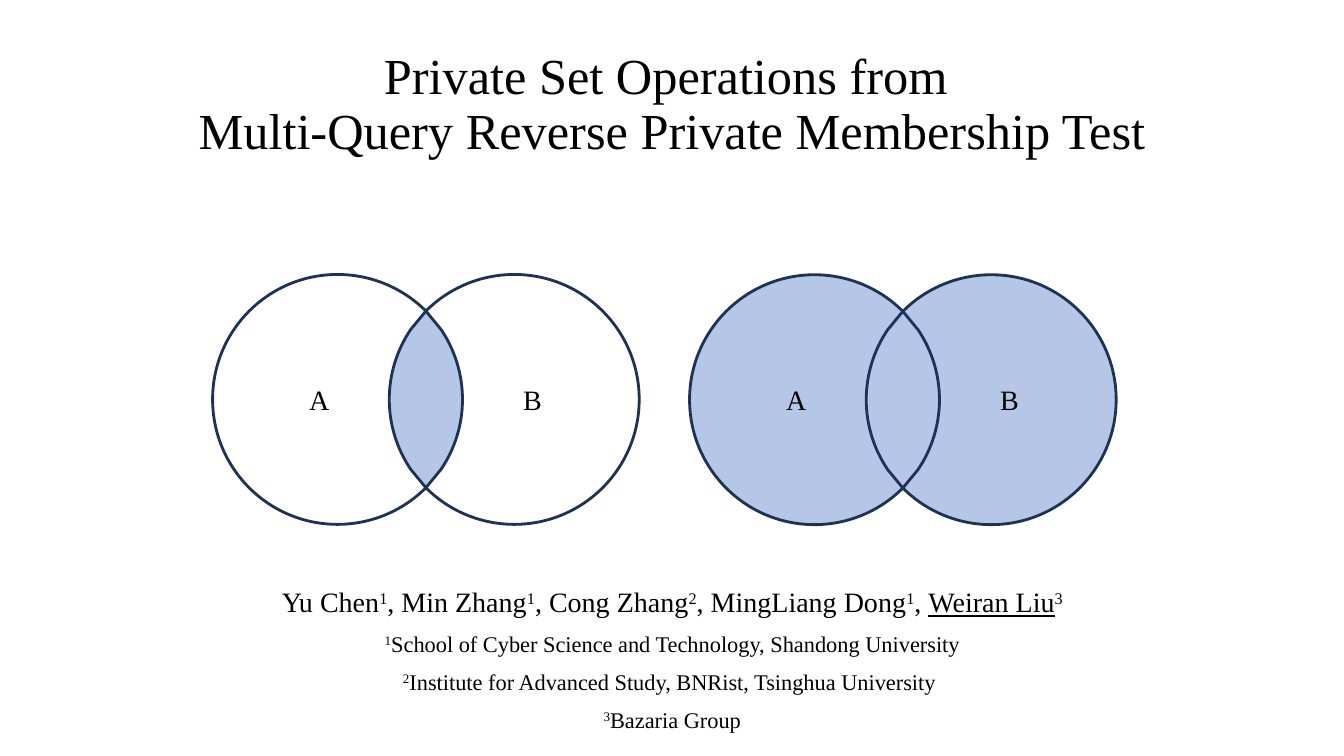
import copy
import math

import pptx
import pptx.dml.color
import pptx.enum.text
import pptx.oxml
import pptx.oxml.ns
import pptx.util

Pt = pptx.util.Pt
FACE = "Times New Roman"
BLACK, BLUE, NAVY = "000000", "B4C7E7", "1E3256"
RADIUS = 89.25
SHIFT = RADIUS * math.cos(math.radians(45))


def tint(color, code):
    """Set a colour format to a hex colour."""
    color.rgb = pptx.dml.color.RGBColor.from_string(code)


def add_run(para, text, size, base=0, under=False):
    """Add one styled run, raised by base percent."""
    run = para.add_run()
    run.text = text
    run.font.name = FACE
    run.font.size = Pt(size)
    tint(run.font.color, BLACK)
    if under:
        run.font.underline = True
    if base:
        run.font._element.set("baseline", str(base * 1000))
    return run


def set_para(para, before=0, lines=0.9):
    """Centre a paragraph and set its spacing."""
    para.alignment = pptx.enum.text.PP_ALIGN.CENTER
    para.line_spacing = lines
    para.space_before = Pt(before)


def set_holder(holder, box, anchor):
    """Move a placeholder and fix its text frame."""
    holder.left, holder.top, holder.width, holder.height = map(Pt, box)
    frame = holder.text_frame
    frame.word_wrap = True
    frame.auto_size = pptx.enum.text.MSO_AUTO_SIZE.NONE
    frame.vertical_anchor = anchor
    return frame


def add_title(slide):
    """Fill the title with two lines."""
    middle = pptx.enum.text.MSO_ANCHOR.MIDDLE
    frame = set_holder(slide.shapes.title, (69.8, 0, 820.8, 151.2), middle)
    para = frame.paragraphs[0]
    set_para(para)
    run = add_run(para, "Private Set Operations from ", 36)
    para.add_line_break()
    gap = para._p.find(pptx.oxml.ns.qn("a:br"))
    gap.append(copy.deepcopy(run.font._element))
    add_run(para, "Multi-Query Reverse Private Membership Test", 36)


def add_team(slide):
    """Fill the subtitle with authors and places."""
    top = pptx.enum.text.MSO_ANCHOR.TOP
    frame = set_holder(slide.placeholders[1], (20.9, 416.9, 918.7, 123.1), top)
    para = frame.paragraphs[0]
    set_para(para)
    team = [("Yu Chen", "1"), ("Min Zhang", "1"), ("Cong Zhang", "2"),
            ("MingLiang Dong", "1"), ("Weiran Liu", "3")]
    for index, (name, mark) in enumerate(team):
        lead = ", " if index else ""
        if name == "Weiran Liu":
            add_run(para, lead, 20)
            add_run(para, name, 20, under=True)
        else:
            add_run(para, lead + name, 20)
        add_run(para, mark, 20, base=30)
    places = ["School of Cyber Science and Technology, Shandong University",
              "Institute for Advanced Study, BNRist, Tsinghua University ",
              "Bazaria Group"]
    for number, place in enumerate(places, 1):
        para = frame.add_paragraph()
        set_para(para, before=10)
        add_run(para, str(number), 16, base=30)
        add_run(para, place, 16)


def spot(side, shift, angle, pull=0):
    """Return a circle point, pulled along its tangent."""
    turn = math.radians(angle)
    x = math.cos(turn) - pull * math.sin(turn)
    y = math.sin(turn) + pull * math.cos(turn)
    return side * (shift + RADIUS * x), RADIUS * y


def arc(side, shift, angles):
    """Return one cubic curve for each pair of angles."""
    curves = []
    for start, end in zip(angles, angles[1:]):
        pull = 4 / 3 * math.tan(math.radians(end - start) / 4)
        curves.append([spot(side, shift, start, pull),
                       spot(side, shift, end, -pull),
                       spot(side, shift, end)])
    return curves


def inner(side, turn=1):
    """Return one edge of the overlap, upwards if turn is 1."""
    bend = 34 * turn
    return [[spot(side, -SHIFT, bend)],
            *arc(side, -SHIFT, [bend, 0, -bend]),
            [(0, -turn * SHIFT)]]


def outer(side):
    """Return the outer rim of one set, top to bottom."""
    return arc(side, SHIFT, [-135, -90, 0, 90, 135])


def bend_lines(form, parts):
    """Turn each run of three lines into one cubic curve."""
    name = pptx.oxml.ns.qn
    lines = iter(list(form._element.iter(name("a:lnTo"))))
    for part in parts:
        group = [next(lines) for point in part]
        if len(group) == 3:
            curve = pptx.oxml.parse_xml(
                "<a:cubicBezTo %s/>" % pptx.oxml.ns.nsdecls("a"))
            group[0].addprevious(curve)
            for line in group:
                curve.append(line[0])
                line.getparent().remove(line)


def add_form(slide, mid, start, parts, fill=None, line=None):
    """Draw a closed outline around a middle point."""
    spots = [(Pt(mid[0] + x), Pt(mid[1] + y))
             for part in [[start], *parts] for x, y in part]
    maker = slide.shapes.build_freeform(*spots[0])
    maker.add_line_segments(spots[1:], close=True)
    form = maker.convert_to_shape()
    bend_lines(form, parts)
    form.shadow.inherit = False
    if fill:
        form.fill.solid()
        tint(form.fill.fore_color, fill)
    else:
        form.fill.background()
    if line:
        tint(form.line.color, line)
        form.line.width = Pt(2)
    else:
        form.line.fill.background()
    return form


def add_venn(slide, mid, fill=None):
    """Draw two sets with a filled overlap."""
    add_form(slide, mid, (0, SHIFT), inner(1) + inner(-1, -1), BLUE)
    for side, name in ((1, "B"), (-1, "A")):
        form = add_form(slide, mid, (0, -SHIFT), outer(side) + inner(side),
                        fill, NAVY)
        frame = form.text_frame
        frame.vertical_anchor = pptx.enum.text.MSO_ANCHOR.MIDDLE
        set_para(frame.paragraphs[0], lines=1.0)
        add_run(frame.paragraphs[0], name, 20)


def main():
    """Build and save the slide."""
    deck = pptx.Presentation()
    deck.slide_width, deck.slide_height = Pt(960), Pt(540)
    slide = deck.slides.add_slide(deck.slide_layouts[0])
    add_title(slide)
    add_team(slide)
    add_venn(slide, (304.2, 285.3))
    add_venn(slide, (644.9, 285.5), BLUE)
    deck.save("out.pptx")


if __name__ == "__main__":
    main()
